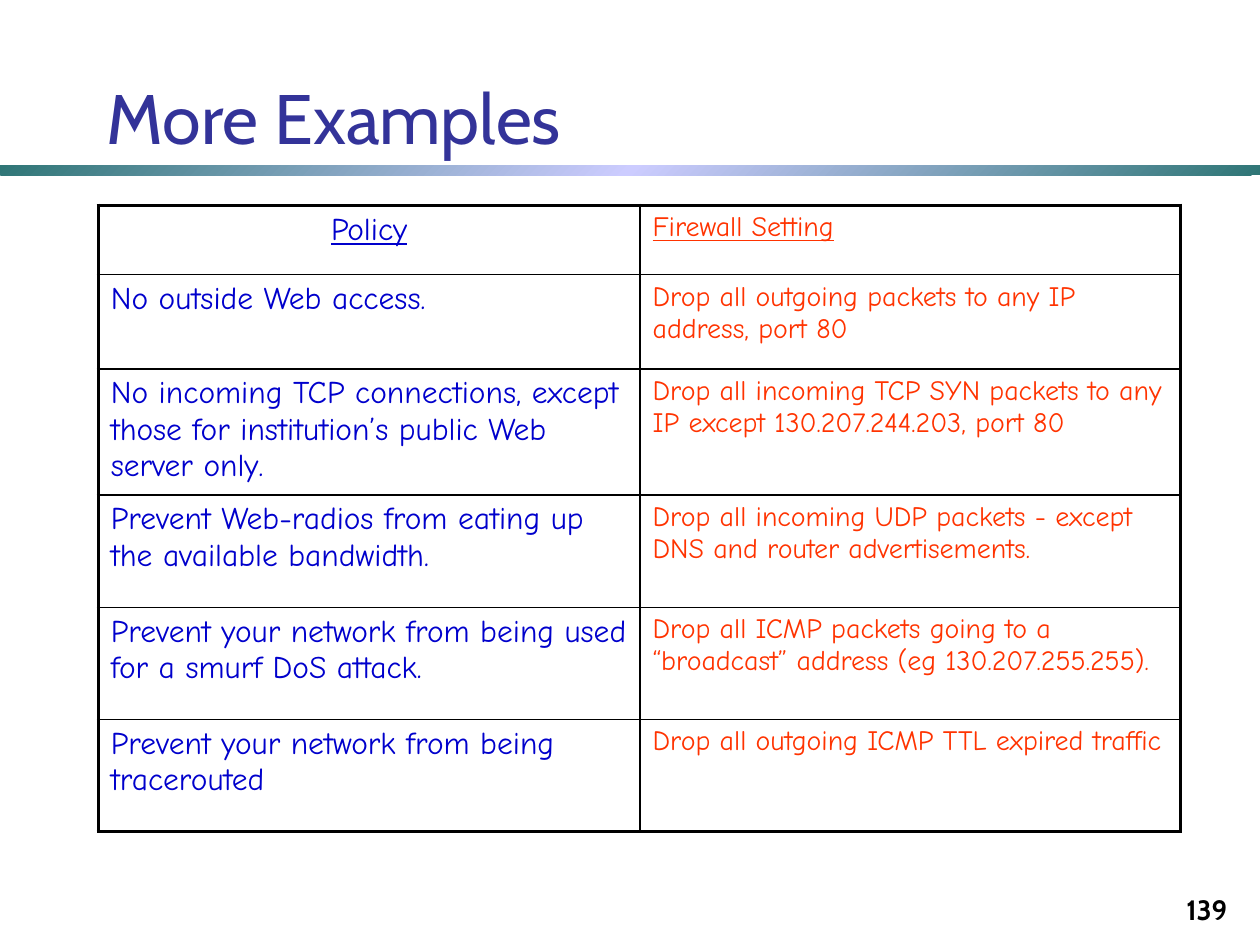
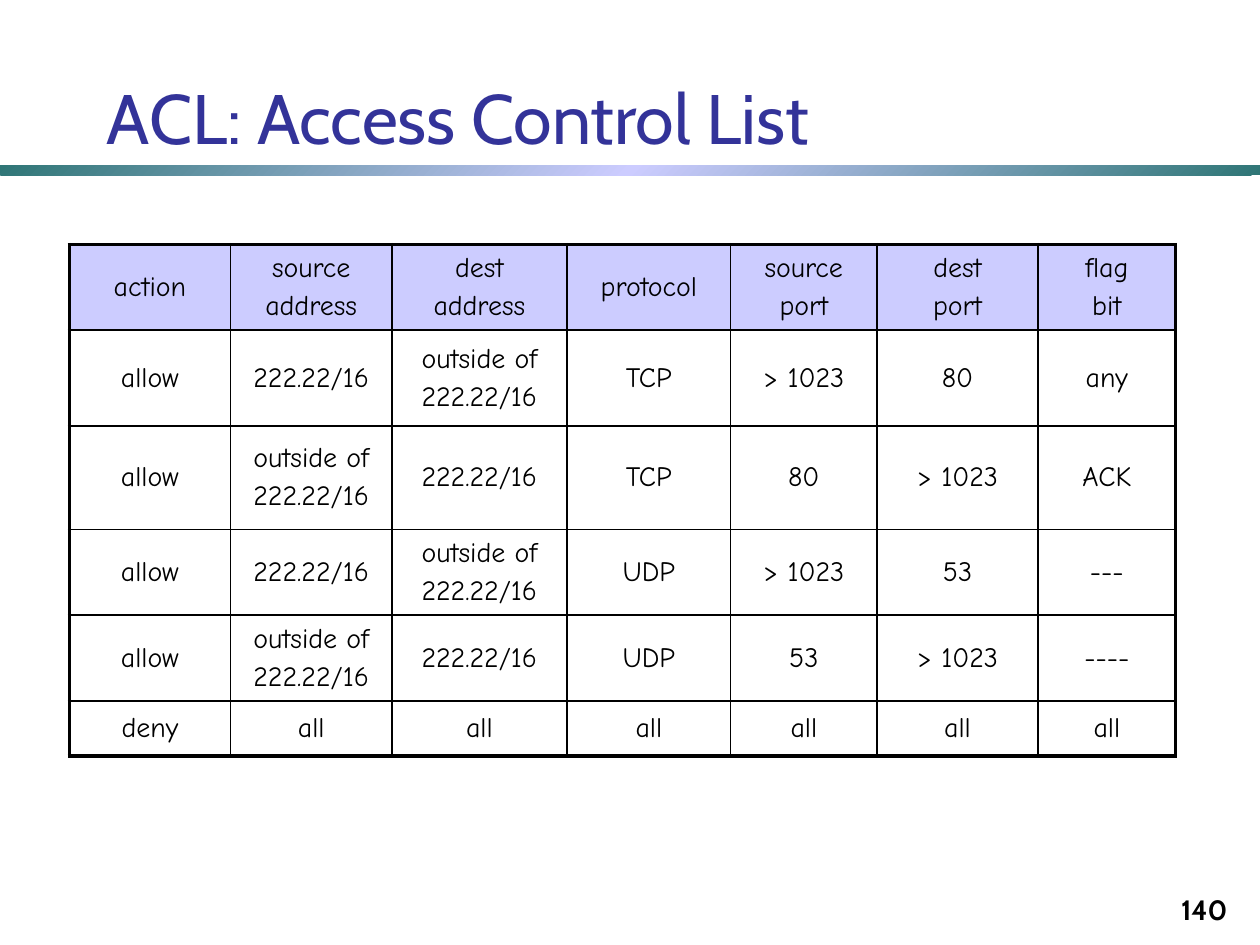
from copy import deepcopy

from lxml.etree import SubElement
from pptx import Presentation
from pptx.dml.color import RGBColor
from pptx.enum.shapes import MSO_SHAPE
from pptx.enum.text import MSO_ANCHOR, PP_ALIGN
from pptx.oxml.ns import qn
from pptx.util import Inches, Pt

TITLE_FONT = "Cabin"
BODY_FONT = "Comic Neue"

INDIGO = RGBColor(0x33, 0x33, 0x99)
TEAL = RGBColor(0x2F, 0x76, 0x76)
LAVENDER = RGBColor(0xCC, 0xCC, 0xFF)
BLUE = RGBColor(0x00, 0x00, 0xCC)
ORANGE = RGBColor(0xFF, 0x33, 0x00)
BLACK = RGBColor(0x00, 0x00, 0x00)

OUTER_RULE = Pt(2.25)
INNER_RULE = Pt(1)

POLICIES = [
    ("Policy", "Firewall Setting"),
    ("No outside Web access.",
     "Drop all outgoing packets to any IP address, port 80"),
    ("No incoming TCP connections, except those for institution’s public Web server only.",
     "Drop all incoming TCP SYN packets to any IP except 130.207.244.203, port 80"),
    ("Prevent Web-radios from eating up the available bandwidth.",
     "Drop all incoming UDP packets - except DNS and router advertisements."),
    ("Prevent your network from being used for a smurf DoS attack.",
     "Drop all ICMP packets going to a “broadcast” address (eg 130.207.255.255)."),
    ("Prevent your network from being tracerouted",
     "Drop all outgoing ICMP TTL expired traffic"),
]

INSIDE = "222.22/16"
OUTSIDE = "outside of\n222.22/16"
ACL_RULES = [
    ("action", "source\naddress", "dest\naddress", "protocol",
     "source\nport", "dest\nport", "flag\nbit"),
    ("allow", INSIDE, OUTSIDE, "TCP", "> 1023", "80", "any"),
    ("allow", OUTSIDE, INSIDE, "TCP", "80", "> 1023", "ACK"),
    ("allow", INSIDE, OUTSIDE, "UDP", "> 1023", "53", "---"),
    ("allow", OUTSIDE, INSIDE, "UDP", "53", "> 1023", "----"),
    ("deny",) + ("all",) * 6,
]


def write_text(frame, text, font=BODY_FONT, size=16, color=BLACK, bold=False,
               underline=False, align=PP_ALIGN.LEFT):
    """Fill a text frame, one paragraph for each line of the text."""
    frame.word_wrap = True
    for index, line in enumerate(text.split("\n")):
        paragraph = frame.add_paragraph() if index else frame.paragraphs[0]
        paragraph.alignment = align
        if index:
            paragraph.space_before = Pt(3.4)
        run = paragraph.add_run()
        run.text = line
        run.font.name = font
        run.font.size = Pt(size)
        run.font.bold = bold
        run.font.underline = underline
        run.font.color.rgb = color


def add_label(slide, text, left, top, width, height, **text_format):
    """Add a bottom-anchored text box in the title font."""
    frame = slide.shapes.add_textbox(
        Inches(left), Inches(top), Inches(width), Inches(height)).text_frame
    frame.vertical_anchor = MSO_ANCHOR.BOTTOM
    write_text(frame, text, font=TITLE_FONT, **text_format)


def add_title_band(slide):
    band = slide.shapes.add_shape(
        MSO_SHAPE.RECTANGLE, 0, Inches(1.31), Inches(10), Inches(0.08))
    band.shadow.inherit = False
    band.line.fill.background()
    band.fill.gradient()
    band.fill.gradient_angle = 315
    stop_list = band.fill.gradient_stops[0]._gs.getparent()
    stop_list.insert(1, deepcopy(stop_list[0]))
    for stop, color, position in zip(
            band.fill.gradient_stops, (TEAL, LAVENDER, TEAL), (0, 0.5, 1)):
        stop.color.rgb = color
        stop.position = position


def add_framed_slide(deck, title, number):
    """Add a blank slide with the shared band, title and page number."""
    slide = deck.slides.add_slide(deck.slide_layouts[6])
    add_title_band(slide)
    add_label(slide, title, 0.75, 0.36, 9.25, 0.95, size=40, color=INDIGO)
    add_label(slide, str(number), 7.76, 6.9, 2.08, 0.5, bold=True,
              align=PP_ALIGN.RIGHT)
    return slide


def set_borders(cell, **widths):
    """Draw the cell's sides; widths are keyed L, R, T, B."""
    properties = cell._tc.get_or_add_tcPr()
    for index, side in enumerate("LRTB"):
        rule = SubElement(properties, qn(f"a:ln{side}"), w=str(widths[side]))
        fill = SubElement(rule, qn("a:solidFill"))
        SubElement(fill, qn("a:srgbClr"), val=str(BLACK))
        properties.insert(index, rule)


def add_ruled_table(slide, left, top, widths, heights):
    """Add an unfilled table with a thick outline and thin inner rules."""
    table = slide.shapes.add_table(
        len(heights), len(widths), Inches(left), Inches(top),
        Inches(sum(widths)), Inches(sum(heights))).table
    table.first_row = False
    table.horz_banding = False
    for column, width in zip(table.columns, widths):
        column.width = Inches(width)
    for row, height in zip(table.rows, heights):
        row.height = Inches(height)

    def rule(is_outer):
        return OUTER_RULE if is_outer else INNER_RULE

    last_row, last_column = len(heights) - 1, len(widths) - 1
    for r in range(len(heights)):
        for c in range(len(widths)):
            cell = table.cell(r, c)
            cell.fill.background()
            set_borders(cell, L=rule(c == 0), R=rule(c == last_column),
                        T=rule(r == 0), B=rule(r == last_row))
    return table


def add_policy_table(slide):
    table = add_ruled_table(slide, 0.78, 1.63, [4.3, 4.29],
                            [0.55, 0.75, 0.96] + [0.89] * 3)
    for r, (policy, setting) in enumerate(POLICIES):
        is_header = r == 0
        write_text(table.cell(r, 0).text_frame, policy, size=18, color=BLUE,
                   underline=is_header,
                   align=PP_ALIGN.CENTER if is_header else PP_ALIGN.LEFT)
        write_text(table.cell(r, 1).text_frame, setting, color=ORANGE,
                   underline=is_header)


def add_acl_table(slide):
    table = add_ruled_table(slide, 0.55, 1.94,
                            [1.28, 1.28, 1.39, 1.3, 1.16, 1.28, 1.09],
                            [0.65, 0.76, 0.82, 0.65, 0.66, 0.44])
    for r, entries in enumerate(ACL_RULES):
        for c, entry in enumerate(entries):
            cell = table.cell(r, c)
            cell.vertical_anchor = MSO_ANCHOR.MIDDLE
            write_text(cell.text_frame, entry, align=PP_ALIGN.CENTER)
            if r == 0:
                cell.fill.solid()
                cell.fill.fore_color.rgb = LAVENDER


def main():
    deck = Presentation()
    deck.slide_width = Inches(10)
    deck.slide_height = Inches(7.5)
    add_policy_table(add_framed_slide(deck, "More Examples", 139))
    add_acl_table(add_framed_slide(deck, "ACL: Access Control List", 140))
    deck.save("out.pptx")


if __name__ == "__main__":
    main()
